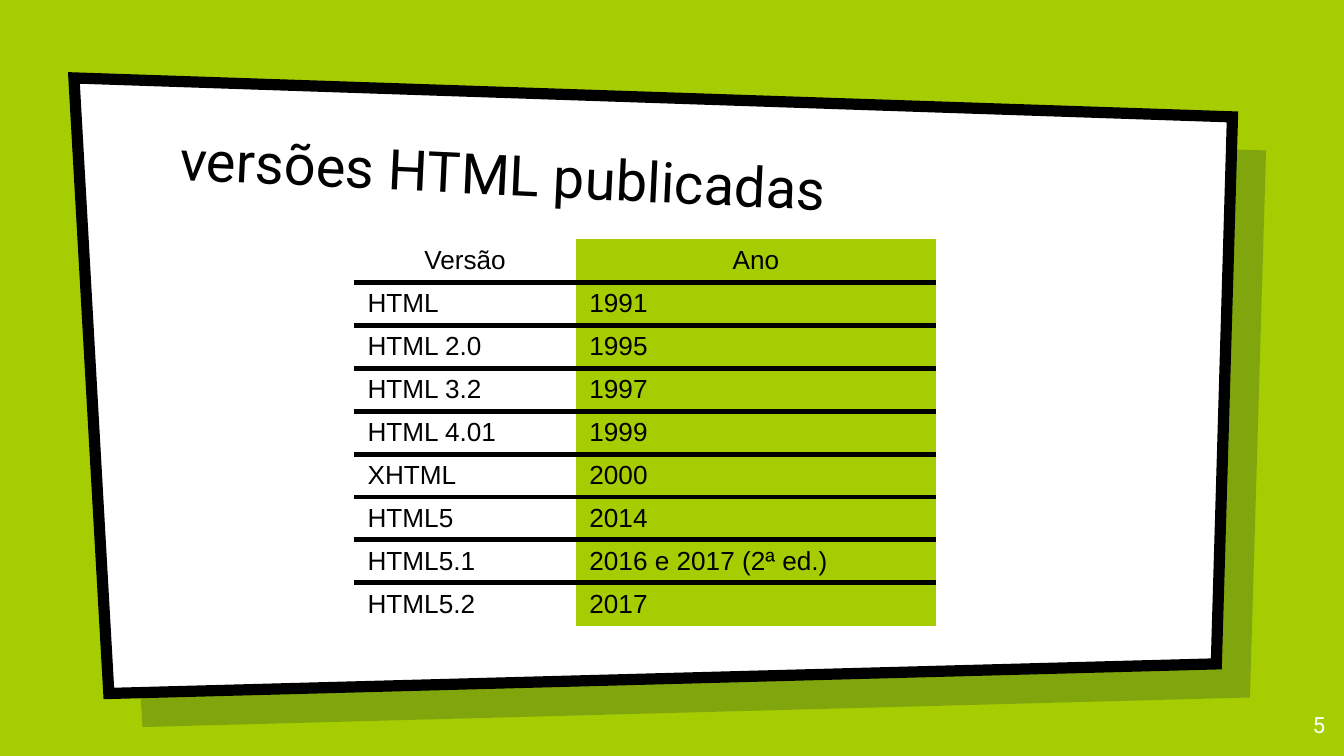
from lxml import etree
from pptx import Presentation
from pptx.dml.color import RGBColor
from pptx.enum.text import MSO_ANCHOR, MSO_AUTO_SIZE, PP_ALIGN
from pptx.oxml.ns import qn
from pptx.util import Pt

EMU_PER_PX = 4572
LEFT, CENTER, RIGHT = PP_ALIGN.LEFT, PP_ALIGN.CENTER, PP_ALIGN.RIGHT
TOP, MIDDLE, BOTTOM = MSO_ANCHOR.TOP, MSO_ANCHOR.MIDDLE, MSO_ANCHOR.BOTTOM
NO_AUTOFIT = MSO_AUTO_SIZE.NONE
TITLE_ONLY = 5
PLAIN_TABLE_STYLE = "{2D5ABB26-0587-4C30-8999-92F81FD0307C}"

LIME, BLACK, WHITE, NAVY = "A6CD02", "000000", "FFFFFF", "001936"
PANEL_CORNERS = [(110, 116), (1834, 174), (1810, 988), (162, 1032)]
SHADOW_OFFSET = 50
COLUMN_WIDTHS = [330, 536]
ROW_HEIGHT = 64
VERSIONS = [
    ("Versão", "Ano"),
    ("HTML", "1991"),
    ("HTML 2.0", "1995"),
    ("HTML 3.2", "1997"),
    ("HTML 4.01", "1999"),
    ("XHTML", "2000"),
    ("HTML5", "2014"),
    ("HTML5.1", "2016 e 2017 (2ª ed.)"),
    ("HTML5.2", "2017"),
]


def px(length):
    """Convert px to EMU."""
    return length * EMU_PER_PX


def color(hex_value):
    """Return the colour of a hex string."""
    return RGBColor.from_string(hex_value)


def set_attributes(target, values):
    """Set each attribute of a dict on the target."""
    for name, value in values.items():
        setattr(target, name, value)


def fill_solid(fill, hex_value):
    """Give a fill one plain colour."""
    fill.solid()
    fill.fore_color.rgb = color(hex_value)


def write(frame, text, font_name, size, hex_value, align):
    """Put one formatted paragraph into a text frame."""
    frame.text = text
    paragraph = frame.paragraphs[0]
    paragraph.alignment = align
    font = paragraph.runs[0].font
    set_attributes(font, {"name": font_name, "size": Pt(size), "bold": False})
    font.color.rgb = color(hex_value)


def format_frame(frame, anchor):
    """Set wrapping, anchor and even insets of a text frame."""
    set_attributes(frame, {
        "word_wrap": True,
        "auto_size": NO_AUTOFIT,
        "vertical_anchor": anchor,
        **{f"margin_{side}": px(20) for side in ("left", "top", "right", "bottom")},
    })


def add_panel(slide, offset, hex_value):
    """Add the slanted panel outline, shifted by an offset."""
    start, *others = [(x + offset, y + offset) for x, y in PANEL_CORNERS]
    builder = slide.shapes.build_freeform(*start, scale=EMU_PER_PX)
    builder.add_line_segments(others, close=True)
    panel = builder.convert_to_shape()
    panel.shadow.inherit = False
    fill_solid(panel.fill, hex_value)
    panel.line.fill.background()
    return panel


def add_panel_shadow(slide):
    """Add the translucent shade behind the panel."""
    shade = add_panel(slide, SHADOW_OFFSET, NAVY)
    tint = shade._element.spPr.find(qn("a:solidFill"))[0]
    etree.SubElement(tint, qn("a:alpha"), val="22000")


def add_framed_panel(slide):
    """Add the white panel with its sharp-cornered black frame."""
    panel = add_panel(slide, 0, WHITE)
    panel.line.color.rgb = color(BLACK)
    panel.line.width = Pt(6)
    outline = panel._element.spPr.find(qn("a:ln"))
    etree.SubElement(outline, qn("a:miter"), lim="800000")


def set_title(slide, text):
    """Place and format the tilted title in front of the panel."""
    title = slide.shapes.title
    set_attributes(title, {"left": px(248), "top": px(174), "width": px(1538),
                           "height": px(166), "rotation": 2.7})
    format_frame(title.text_frame, BOTTOM)
    write(title.text_frame, text, "Roboto", 30, BLACK, LEFT)
    title._element.getparent().append(title._element)


def add_rule(cell, edge, position):
    """Draw a black border on one edge of a cell."""
    rule = etree.Element(qn(f"a:{edge}"), w=str(Pt(3)))
    fill = etree.SubElement(rule, qn("a:solidFill"))
    etree.SubElement(fill, qn("a:srgbClr"), val=BLACK)
    cell._tc.get_or_add_tcPr().insert(position, rule)


def format_cell(cell, text, row, column):
    """Fill, rule and write one cell."""
    cell.vertical_anchor = MIDDLE
    write(cell.text_frame, text, "Arial", 14, BLACK, LEFT if row else CENTER)
    if column:
        fill_solid(cell.fill, LIME)
    else:
        cell.fill.background()
    edges = ["lnT"] * (row > 0) + ["lnB"] * (row < len(VERSIONS) - 1)
    for position, edge in enumerate(edges):
        add_rule(cell, edge, position)


def add_version_table(slide):
    """Add the table of versions and years."""
    table = slide.shapes.add_table(
        len(VERSIONS), len(COLUMN_WIDTHS), px(527), px(356),
        px(sum(COLUMN_WIDTHS)), px(ROW_HEIGHT * len(VERSIONS))).table
    set_attributes(table, {"first_row": False, "horz_banding": False})
    table._tbl.tblPr.find(qn("a:tableStyleId")).text = PLAIN_TABLE_STYLE
    for column, width in zip(table.columns, COLUMN_WIDTHS):
        column.width = px(width)
    for row, texts in enumerate(VERSIONS):
        for column, text in enumerate(texts):
            format_cell(table.cell(row, column), text, row, column)


def add_page_number(slide, number):
    """Add the page number in the bottom right corner."""
    box = slide.shapes.add_textbox(px(1872), px(1039), px(120), px(86))
    format_frame(box.text_frame, TOP)
    write(box.text_frame, number, "Roboto", 12, WHITE, RIGHT)


def main():
    """Build and save the slide."""
    deck = Presentation()
    set_attributes(deck, {"slide_width": px(2000), "slide_height": px(1125)})
    slide = deck.slides.add_slide(deck.slide_layouts[TITLE_ONLY])
    fill_solid(slide.background.fill, LIME)
    add_panel_shadow(slide)
    add_framed_panel(slide)
    set_title(slide, "versões HTML publicadas")
    add_version_table(slide)
    add_page_number(slide, "5")
    deck.save("out.pptx")


if __name__ == "__main__":
    main()
